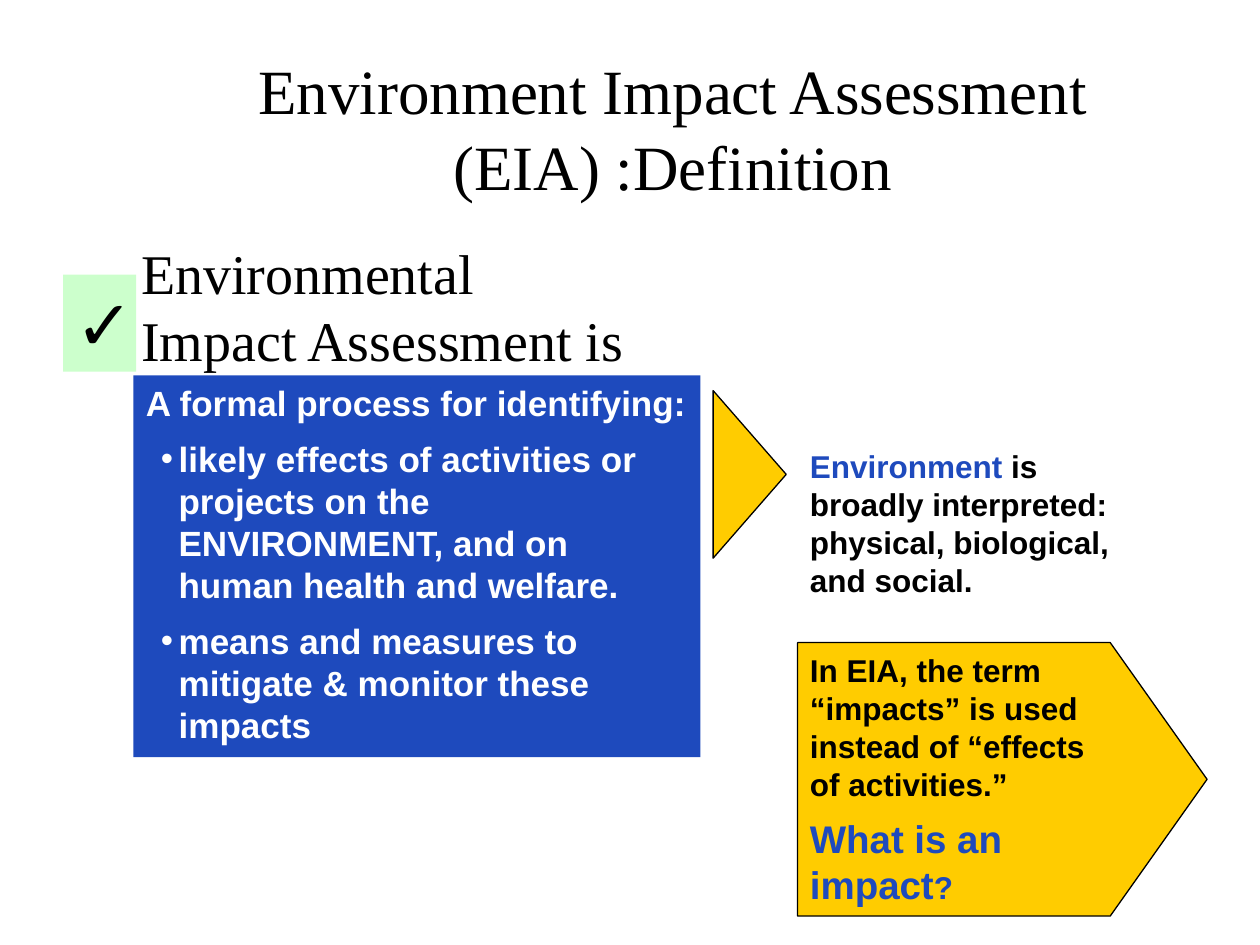
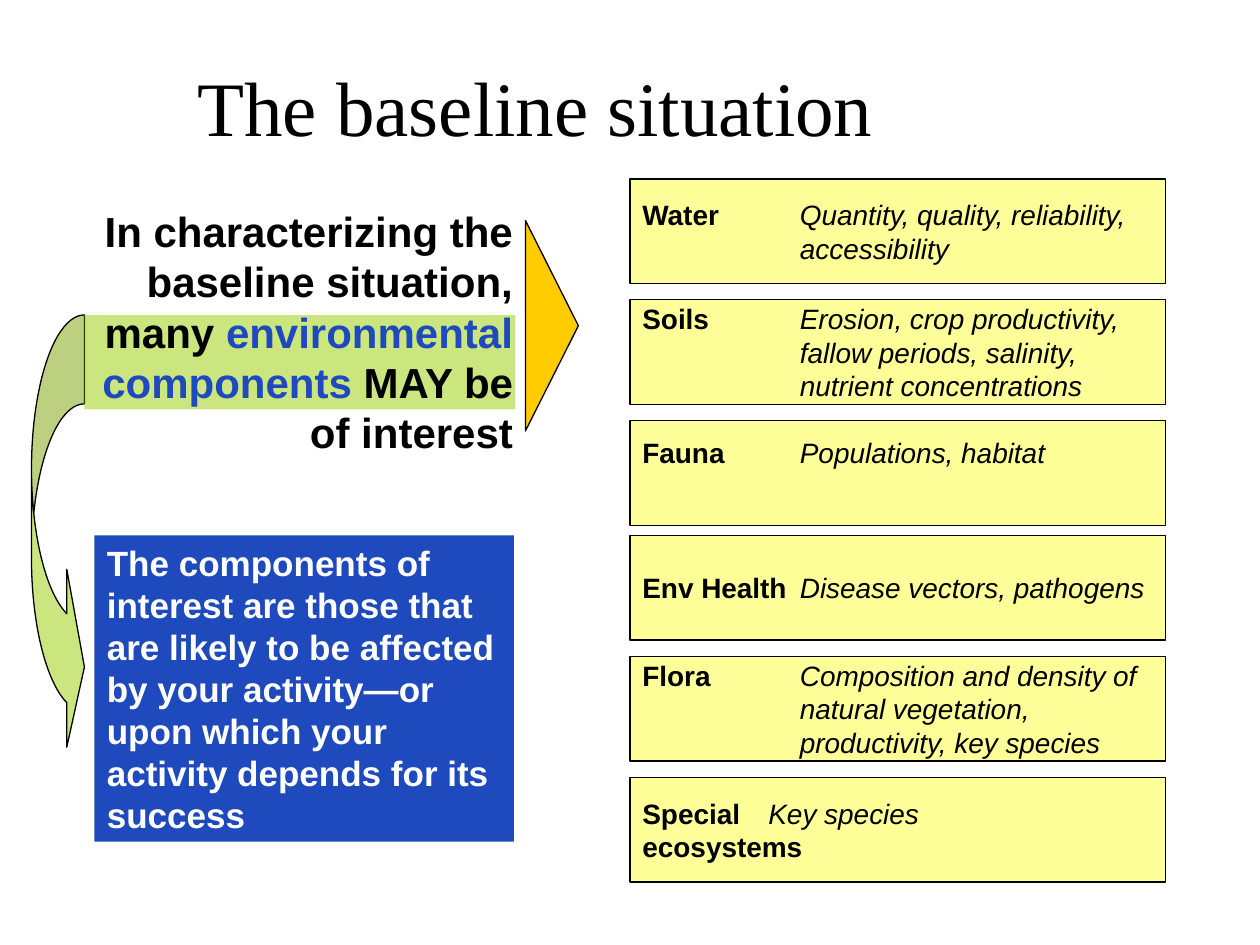
from lxml.etree import SubElement
from pptx import Presentation
from pptx.dml.color import RGBColor
from pptx.enum.shapes import MSO_SHAPE as Shape
from pptx.enum.text import MSO_ANCHOR as Anchor, MSO_AUTO_SIZE as AutoSize, PP_ALIGN as Align
from pptx.oxml.ns import qn
from pptx.util import Inches, Pt

BLACK = RGBColor(0x00, 0x00, 0x00)
WHITE = RGBColor(0xFF, 0xFF, 0xFF)
BLUE = RGBColor(0x1E, 0x4A, 0xBD)
GOLD = RGBColor(0xFF, 0xCC, 0x00)
MINT = RGBColor(0xCC, 0xFF, 0xCC)
LIME = RGBColor(0x99, 0xCC, 0x00)
CREAM = RGBColor(0xFF, 0xFF, 0x99)
SANS = "Arial"
SERIF = "Times New Roman"
CHECK_FONT = "DejaVu Sans"

COMPONENTS = [
    ("Water", "Quantity, quality, reliability, accessibility"),
    ("Soils", "Erosion, crop productivity, fallow periods, salinity, nutrient concentrations"),
    ("Fauna", "Populations, habitat"),
    ("Env Health", "Disease vectors, pathogens"),
    ("Flora", "Composition and density of natural vegetation, productivity, key species"),
]


def inches(*lengths):
    return [Inches(length) for length in lengths]


def add_run(paragraph, text, size, color=BLACK, font=SANS, bold=True, italic=False):
    run = paragraph.add_run()
    run.text = text
    run.font.name, run.font.size = font, Pt(size)
    run.font.bold, run.font.italic = bold, italic
    run.font.color.rgb = color


def set_indent(paragraph, left, first=0):
    properties = paragraph._p.get_or_add_pPr()
    properties.set("marL", str(Inches(left)))
    properties.set("indent", str(Inches(first)))
    return properties


def add_bullet(paragraph, color):
    properties = set_indent(paragraph, 0.26, -0.14)
    bullet_color = SubElement(properties, qn("a:buClr"))
    SubElement(bullet_color, qn("a:srgbClr"), val=str(color))
    SubElement(properties, qn("a:buFont"), typeface=SANS)
    SubElement(properties, qn("a:buChar"), char="•")


def prepare_text(shape, anchor=Anchor.TOP, align=Align.LEFT, bottom=0.05):
    """Set the frame of a shape and return its first paragraph."""
    frame = shape.text_frame
    frame.word_wrap = True
    frame.auto_size = AutoSize.NONE
    frame.vertical_anchor = anchor
    frame.margin_left = frame.margin_right = Inches(0.1)
    frame.margin_top, frame.margin_bottom = inches(0.05, bottom)
    paragraph = frame.paragraphs[0]
    paragraph.alignment = align
    paragraph.space_before = Pt(0)
    return paragraph


def next_paragraph(shape, space):
    paragraph = shape.text_frame.add_paragraph()
    paragraph.alignment = Align.LEFT
    paragraph.space_before = Pt(space)
    return paragraph


def add_shape(slide, kind, box, fill, outlined=False, adjustments=(), opacity=None):
    shape = slide.shapes.add_shape(kind, *inches(*box))
    shape.shadow.inherit = False
    shape.fill.solid()
    shape.fill.fore_color.rgb = fill
    if opacity is not None:
        color = shape._element.spPr.find(qn("a:solidFill")).find(qn("a:srgbClr"))
        SubElement(color, qn("a:alpha"), val=str(opacity * 1000))
    if outlined:
        shape.line.color.rgb = BLACK
        shape.line.width = Pt(0.75)
    else:
        shape.line.fill.background()
    for index, value in enumerate(adjustments):
        shape.adjustments[index] = value
    return shape


def add_right_pointer(slide, box, adjustments):
    """Turn a down arrow so that it fills the box and points right."""
    left, top, width, height = box
    turned = (left + (width - height) / 2, top + (height - width) / 2, height, width)
    pointer = add_shape(slide, Shape.DOWN_ARROW, turned, GOLD, True, adjustments)
    pointer.rotation = 270


def add_triangle(slide, box):
    add_right_pointer(slide, box, (0.62, 1))


def place(shape, box):
    shape.left, shape.top, shape.width, shape.height = inches(*box)


def set_title(slide, box, text, size):
    title = slide.shapes.title
    place(title, box)
    paragraph = prepare_text(title, Anchor.MIDDLE, Align.CENTER)
    add_run(paragraph, text, size, font=SERIF, bold=False)


def add_lead(slide, box):
    left, top, _, _ = box
    body = slide.placeholders[1]
    place(body, box)
    paragraph = prepare_text(body)
    SubElement(set_indent(paragraph, 0.38), qn("a:buNone"))
    add_run(paragraph, "Environmental", 32, font=SERIF, bold=False)
    paragraph.add_line_break()
    add_run(paragraph, "Impact Assessment is", 32, font=SERIF, bold=False)

    check = add_shape(slide, Shape.RECTANGLE, (left - 0.14, top + 0.34, 0.58, 0.77), MINT)
    add_run(prepare_text(check), "✓", 40, font=CHECK_FONT)


def add_process_panel(slide, box):
    panel = add_shape(slide, Shape.RECTANGLE, box, BLUE)
    add_run(prepare_text(panel), "A formal process for identifying:", 20, WHITE)
    for item in (
        "likely effects of activities or projects on the ENVIRONMENT, "
        "and on human health and welfare.",
        "means and measures to mitigate & monitor these impacts",
    ):
        paragraph = next_paragraph(panel, 8)
        paragraph.level = 1
        add_bullet(paragraph, WHITE)
        add_run(paragraph, item, 20, WHITE)


def add_environment_note(slide, box):
    left, top, _, _ = box
    add_triangle(slide, (left - 0.67, top - 0.5, 0.58, 1.33))
    note = slide.shapes.add_textbox(*inches(*box))
    paragraph = prepare_text(note, Anchor.MIDDLE, bottom=0.45)
    add_run(paragraph, "Environment ", 18, BLUE)
    add_run(paragraph, "is broadly interpreted: physical, biological, and social.", 18)


def add_impact_note(slide, box):
    left, top, width, height = box
    add_right_pointer(slide, box, (1, 0.354))
    note = slide.shapes.add_textbox(*inches(left, top, width - 0.77, height))
    paragraph = prepare_text(note, Anchor.MIDDLE)
    add_run(paragraph, "In EIA, the term “impacts” is used instead of “effects of activities.”", 18)
    question = next_paragraph(note, 7.2)
    add_run(question, "What is an impact", 22, BLUE)
    add_run(question, "?", 18, BLUE)


def add_baseline_statement(slide, box):
    left, top, width, _ = box
    add_shape(slide, Shape.CURVED_RIGHT_ARROW, (left - 0.4, top + 0.92, 0.42, 3.5),
              LIME, True, (1.68, 3.36, 0.333), opacity=50)
    add_shape(slide, Shape.RECTANGLE, (left + 0.02, top + 0.92, 3.42, 0.75), LIME, opacity=50)
    statement = slide.shapes.add_textbox(*inches(*box))
    paragraph = prepare_text(statement, align=Align.RIGHT)
    add_run(paragraph, "In characterizing the baseline situation, many ", 24)
    add_run(paragraph, "environmental components", 24, BLUE)
    add_run(paragraph, " MAY be of interest", 24)
    add_triangle(slide, (left + width, top + 0.17, 0.42, 1.67))


def add_interest_panel(slide, box):
    panel = add_shape(slide, Shape.RECTANGLE, box, BLUE)
    add_run(
        prepare_text(panel),
        "The components of interest are those that are likely to be affected by your "
        "activity—or upon which your activity depends for its success",
        20, WHITE,
    )


def add_component_cards(slide, left, group_tops):
    """Stack three cards below each group top; the last one has a two-line label."""
    pitch = 0.96
    tops = [top + row * pitch for top in group_tops for row in range(3)]
    cards = [add_shape(slide, Shape.RECTANGLE, (left, top, 4.25, 0.83), CREAM, True)
             for top in tops]
    for card, (name, details) in zip(cards, COMPONENTS):
        paragraph = prepare_text(card, Anchor.MIDDLE, bottom=0.38 if name == "Fauna" else 0.05)
        set_indent(paragraph, 1.25, -1.25)
        add_run(paragraph, name, 16)
        add_run(paragraph, "\t" + details, 16, bold=False, italic=True)

    paragraph = prepare_text(cards[-1], Anchor.MIDDLE)
    add_run(paragraph, "Special\t", 16)
    add_run(paragraph, "Key species", 16, bold=False, italic=True)
    paragraph.add_line_break()
    add_run(paragraph, "ecosystems", 16)


def build_definition_slide(presentation):
    slide = presentation.slides.add_slide(presentation.slide_layouts[1])
    set_title(slide, (1.09, 0.23, 8.5, 1.56),
              "Environment Impact Assessment (EIA) :Definition", 36)
    add_lead(slide, (0.64, 1.84, 5.33, 0.67))
    add_process_panel(slide, (1.06, 2.98, 4.5, 3.03))
    add_environment_note(slide, (6.33, 3.6, 2.67, 1.5))
    add_impact_note(slide, (6.33, 5.1, 3.25, 2.17))


def build_baseline_slide(presentation):
    slide = presentation.slides.add_slide(presentation.slide_layouts[5])
    set_title(slide, (0, 0.5, 8.5, 0.67), "The baseline situation", 44)
    add_baseline_statement(slide, (0.65, 1.58, 3.52, 2.1))
    add_interest_panel(slide, (0.75, 4.25, 3.33, 2.43))
    add_component_cards(slide, 5, (1.42, 4.25))


def main():
    presentation = Presentation()
    presentation.slide_width, presentation.slide_height = inches(10, 7.5)
    build_definition_slide(presentation)
    build_baseline_slide(presentation)
    presentation.save("out.pptx")


if __name__ == "__main__":
    main()
